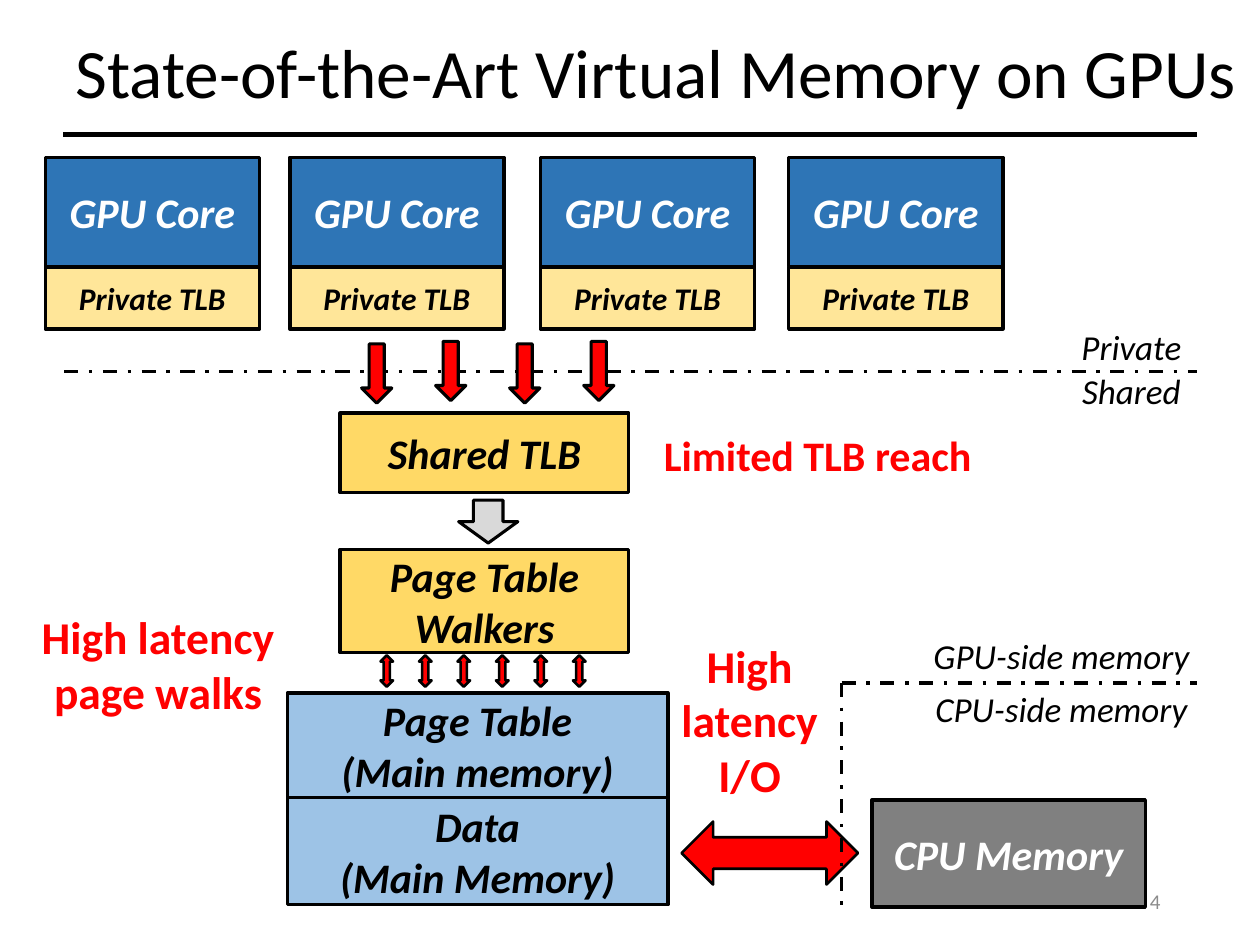
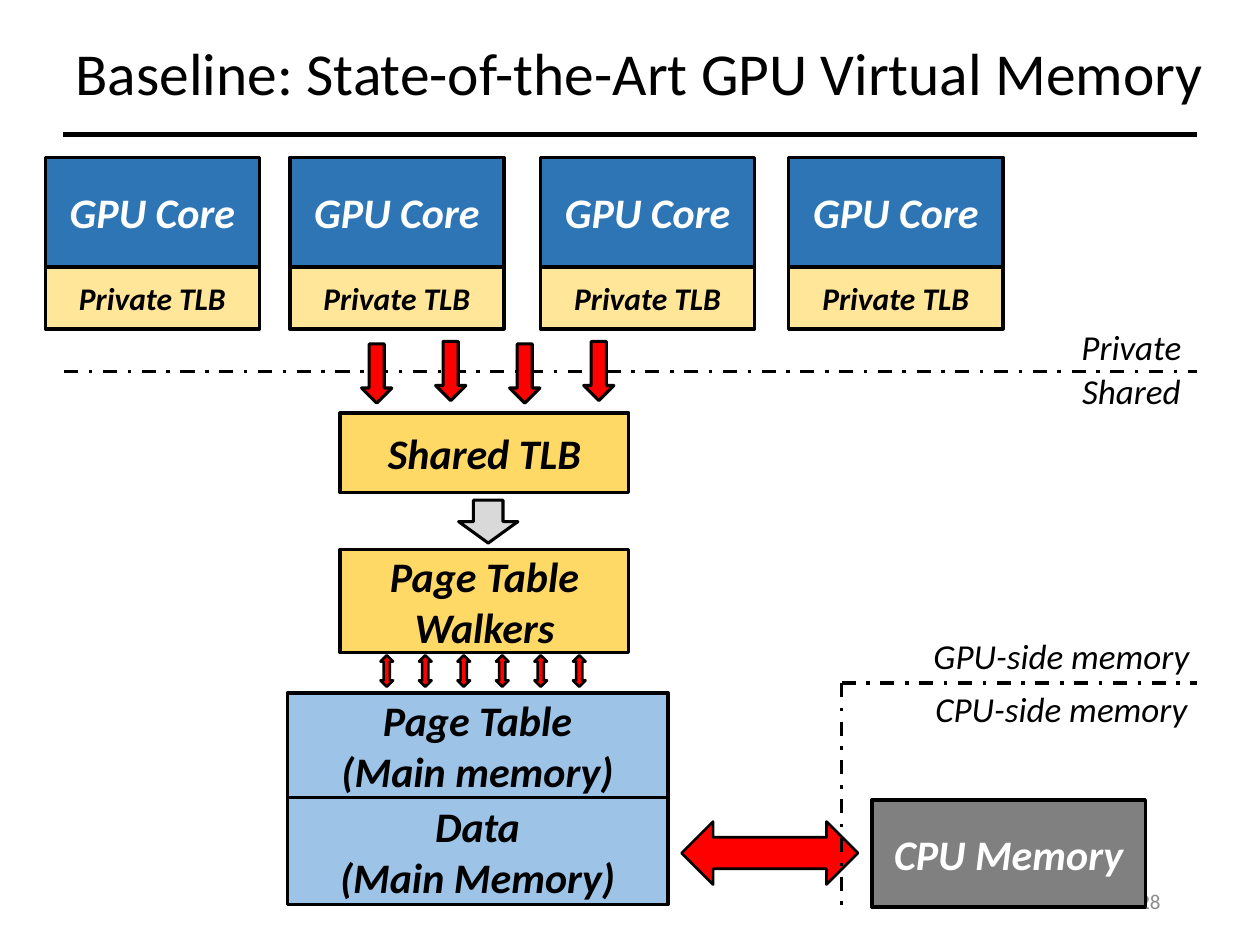
from lxml import etree
from pptx import Presentation
from pptx import util as u
from pptx.dml import color
from pptx.enum import dml, shapes, text
from pptx.oxml import ns

COLORS = {
    "black": "000000", "white": "FFFFFF", "core": "2E75B6", "private": "FFE699",
    "shared": "FFD966", "memory": "9DC3E6", "cpu": "808080", "red": "FF0000",
    "step": "D9D9D9", "number": "8C8C8C",
}
BOX = {"size": u.Pt(24), "bold": True, "italic": True}
TLB = {**BOX, "size": u.Pt(18)}
SIDE = {"size": u.Pt(20), "italic": True}
CALLOUT = {"size": u.Pt(26), "bold": True}
NUMBER = {"size": u.Pt(12)}
RECT = shapes.MSO_SHAPE.RECTANGLE
DOWN = shapes.MSO_SHAPE.DOWN_ARROW
UP_DOWN = shapes.MSO_SHAPE.UP_DOWN_ARROW
CORE_LEFTS = (25.92, 165.6, 308.88, 450.72)
LABEL_W, LABEL_H = 203.76, 46.08


def rgb(name):
    return color.RGBColor.from_string(COLORS[name])


def write(sp, words, fmt, ink="black", align=text.PP_ALIGN.CENTER):
    tf = sp.text_frame
    tf.word_wrap = True
    tf.auto_size = text.MSO_AUTO_SIZE.NONE
    tf.vertical_anchor = text.MSO_ANCHOR.MIDDLE
    tf.text = words
    for p in tf.paragraphs:
        p.alignment = align
        for r in p.runs:
            for key, value in {"name": "Calibri", **fmt}.items():
                setattr(r.font, key, value)
            r.font.color.rgb = rgb(ink)


def add_title(s, words, size, width):
    sp = s.shapes.title
    place = {"left": 36, "top": 10.08, "width": width, "height": 66.96}
    for key, value in place.items():
        setattr(sp, key, u.Pt(value))
    write(sp, words, {"size": u.Pt(size)}, align=text.PP_ALIGN.LEFT)
    sp.text_frame.paragraphs[0].line_spacing = 0.9


def add_label(s, words, x, y, w, h, fmt, ink="black", align=text.PP_ALIGN.CENTER):
    sp = s.shapes.add_textbox(*map(u.Pt, (x, y, w, h)))
    write(sp, words, fmt, ink, align)


def add_block(s, kind, x, y, w, h, fill, weight):
    sp = s.shapes.add_shape(kind, *map(u.Pt, (x, y, w, h)))
    sp.shadow.inherit = False
    sp.fill.solid()
    sp.fill.fore_color.rgb = rgb(fill)
    sp.line.color.rgb = rgb("black")
    sp.line.width = u.Pt(weight)
    return sp


def add_box(s, words, x, y, w, h, fill, ink="black", fmt=BOX):
    write(add_block(s, RECT, x, y, w, h, fill, 2), words, fmt, ink)


def add_line(s, x1, y1, x2, y2, weight=2, dash=dml.MSO_LINE.DASH_DOT):
    c = s.shapes.add_connector(shapes.MSO_CONNECTOR.STRAIGHT, *map(u.Pt, (x1, y1, x2, y2)))
    c.line.color.rgb = rgb("black")
    c.line.width = u.Pt(weight)
    c.line.dash_style = dash
    etree.SubElement(c._element.spPr, ns.qn("a:effectLst"))


def add_cores(s):
    for x in CORE_LEFTS:
        add_box(s, "GPU Core", x, 90, 122.4, 62.28, "core", "white")
        add_box(s, "Private TLB", x, 152.64, 122.4, 35.28, "private", fmt=TLB)


def add_translation_path(s):
    add_box(s, "Shared TLB", 194.4, 236.16, 164.88, 45.36, "shared")
    add_box(s, "Page Table Walkers", 194.4, 313.92, 164.88, 59.04, "shared")
    add_box(s, "Page Table\n(Main memory)", 164.16, 396, 217.44, 59.76, "memory")
    add_block(s, DOWN, 262.08, 285.84, 33.84, 24.48, "step", 1.75)
    add_line(s, 36.72, 212.4, 684, 212.4)
    for i in range(4):
        add_block(s, DOWN, 206.64 + 42.3 * i, 195.12 if i % 2 else 196.56,
                  17.28, 33.84, "red", 1.75)
    for i in range(6):
        add_block(s, UP_DOWN, 217.44 + 22 * i, 374.4, 7.2, 18, "red", 1.5)


def add_memory(s):
    io_arrow = add_block(s, UP_DOWN, 421.92, 437.04, 36, 100.8, "red", 1.5)
    io_arrow.rotation = 270
    add_box(s, "Data\n(Main Memory)", 164.16, 455.76, 217.44, 61.2, "memory")
    add_box(s, "CPU Memory", 498.24, 457.2, 156.24, 61.2, "cpu", "white")


def add_boundaries(s):
    add_label(s, "Private", 583.2, 174.96, 126.72, LABEL_H, SIDE)
    add_label(s, "Shared", 583.2, 200.16, 126.72, LABEL_H, SIDE)
    add_line(s, 480.96, 390.24, 684, 390.24)
    add_line(s, 480.96, 390.24, 480.96, 521.28)
    add_label(s, "CPU-side memory", 504.72, 381.6, LABEL_W, LABEL_H, SIDE)
    add_label(s, "GPU-side memory", 504.72, 351.36, LABEL_W, LABEL_H, SIDE)


def add_problems(s):
    add_label(s, "Limited TLB reach", 367.2, 233.28, 200.16, 52.56, BOX | {"italic": False}, "red")
    add_label(s, "High latency page walks", 3.6, 321.84, 173.52, 115.2, CALLOUT, "red")
    add_label(s, "High latency\nI/O", 363.6, 353.52, 129.6, 115.2, CALLOUT, "red")


def add_gpu_slide(prs, title, size, width, number):
    s = prs.slides.add_slide(prs.slide_layouts[5])
    add_title(s, title, size, width)
    add_line(s, 36, 77.04, 684, 77.04, 3, dml.MSO_LINE.SOLID)
    add_label(s, number, 508.32, 500.4, 162, 28.8, NUMBER, "number", text.PP_ALIGN.RIGHT)
    add_cores(s)
    add_translation_path(s)
    add_memory(s)
    add_boundaries(s)
    return s


def main():
    prs = Presentation()
    prs.slide_width, prs.slide_height = u.Pt(720), u.Pt(540)
    s = add_gpu_slide(prs, "State-of-the-Art Virtual Memory on GPUs", 39.6, 684, "4")
    add_problems(s)
    add_gpu_slide(prs, "Baseline: State-of-the-Art GPU Virtual Memory", 34, 661.68, "28")
    prs.save("out.pptx")


if __name__ == "__main__":
    main()
